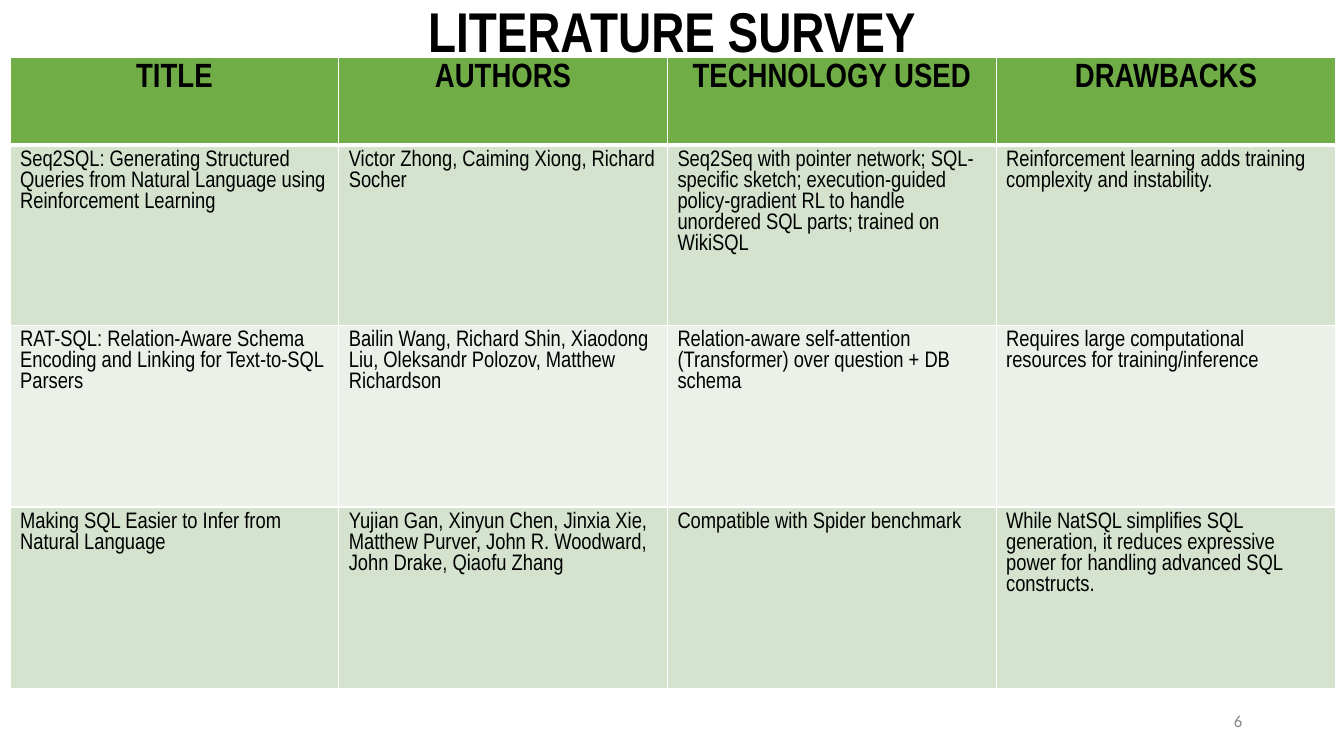
from dataclasses import dataclass

from lxml import etree
from pptx import Presentation
from pptx.dml.color import RGBColor
from pptx.enum.text import MSO_ANCHOR, PP_ALIGN
from pptx.oxml.ns import qn
from pptx.util import Inches, Pt

LEFT, MID, RIGHT = PP_ALIGN.LEFT, PP_ALIGN.CENTER, PP_ALIGN.RIGHT
CENTER = MSO_ANCHOR.MIDDLE


@dataclass(frozen=True)
class Theme:
    head: str = "70AD47"
    bands: tuple[str, str] = ("D4E2CE", "EBF1E8")
    rule: str = "FFFFFF"
    ink: str = "000000"
    gray: str = "888888"
    face: str = "Arial Narrow"
    plain: str = "Calibri"
    title: int = 40
    label: int = 24
    body: int = 16
    small: int = 12


@dataclass(frozen=True)
class Style:
    size: int
    face: str
    color: str
    bold: bool
    align: PP_ALIGN


@dataclass(frozen=True)
class Label:
    text: str
    box: tuple[float, float, float, float]
    style: Style


THEME = Theme()
TITLE = Style(THEME.title, THEME.face, THEME.ink, True, MID)
HEAD = Style(THEME.label, THEME.face, THEME.ink, True, MID)
BODY = Style(THEME.body, THEME.face, THEME.ink, False, LEFT)
PAGE = Style(THEME.small, THEME.plain, THEME.gray, False, RIGHT)

LABELS = (
    Label("6", (9.42, 6.95, 3, 0.4), PAGE),
    Label("LITERATURE SURVEY", (3.33, -0.09, 6.67, 0.77), TITLE),
)

WIDTHS = (3.26, 3.26, 3.26, 3.37)
HEIGHTS = (0.87, 1.79, 1.8, 1.8)
ROWS = (
    ("TITLE", "AUTHORS", "TECHNOLOGY USED", "DRAWBACKS"),
    (
        "Seq2SQL: Generating Structured Queries from Natural Language using Reinforcement Learning",
        "Victor Zhong, Caiming Xiong, Richard Socher",
        "Seq2Seq with pointer network; SQL-specific sketch; execution-guided policy-gradient RL "
        "to handle unordered SQL parts; trained on WikiSQL",
        "Reinforcement learning adds training complexity and instability.",
    ),
    (
        "RAT-SQL: Relation-Aware Schema Encoding and Linking for Text-to-SQL Parsers",
        "Bailin Wang, Richard Shin, Xiaodong Liu, Oleksandr Polozov, Matthew Richardson",
        "Relation-aware self-attention (Transformer) over question + DB schema",
        "Requires large computational resources for training/inference",
    ),
    (
        "Making SQL Easier to Infer from Natural Language",
        "Yujian Gan, Xinyun Chen, Jinxia Xie, Matthew Purver, John R. Woodward, "
        "John Drake, Qiaofu Zhang",
        "Compatible with Spider benchmark",
        "While NatSQL simplifies SQL generation, it reduces expressive power "
        "for handling advanced SQL constructs.",
    ),
)


def write(frame, text: str, style: Style) -> None:
    para = frame.paragraphs[0]
    para.alignment = style.align
    run = para.add_run()
    run.text = text
    font = run.font
    font.size, font.name, font.bold = Pt(style.size), style.face, style.bold
    font.color.rgb = RGBColor.from_string(style.color)


def add_label(slide, label: Label) -> None:
    box = slide.shapes.add_textbox(*map(Inches, label.box))
    frame = box.text_frame
    frame.word_wrap = True
    frame.vertical_anchor = CENTER
    write(frame, label.text, label.style)


def add_rules(cell, top: int, bottom: int) -> None:
    props = cell._tc.get_or_add_tcPr()
    for side, width in (("L", 1), ("R", 1), ("T", top), ("B", bottom)):
        line = etree.SubElement(props, qn(f"a:ln{side}"), w=str(Pt(width)))
        fill = etree.SubElement(line, qn("a:solidFill"))
        etree.SubElement(fill, qn("a:srgbClr"), val=THEME.rule)


def add_survey(slide) -> None:
    size = (0.1, 0.57, sum(WIDTHS), sum(HEIGHTS))
    frame = slide.shapes.add_table(len(ROWS), len(WIDTHS), *map(Inches, size))
    table = frame.table
    for col, width in zip(table.columns, WIDTHS):
        col.width = Inches(width)
    for row, height in zip(table.rows, HEIGHTS):
        row.height = Inches(height)
    for r, texts in enumerate(ROWS):
        color = THEME.bands[(r - 1) % 2] if r else THEME.head
        for c, text in enumerate(texts):
            cell = table.cell(r, c)
            # The rule under the header row is heavier
            add_rules(cell, 3 if r == 1 else 1, 3 if r == 0 else 1)
            cell.fill.solid()
            cell.fill.fore_color.rgb = RGBColor.from_string(color)
            write(cell.text_frame, text, BODY if r else HEAD)


def main() -> None:
    deck = Presentation()
    deck.slide_width, deck.slide_height = Inches(13.33), Inches(7.5)
    slide = deck.slides.add_slide(deck.slide_layouts[6])
    # Survey table
    add_survey(slide)
    # Title and page number
    for label in LABELS:
        add_label(slide, label)
    deck.save("out.pptx")


if __name__ == "__main__":
    main()
